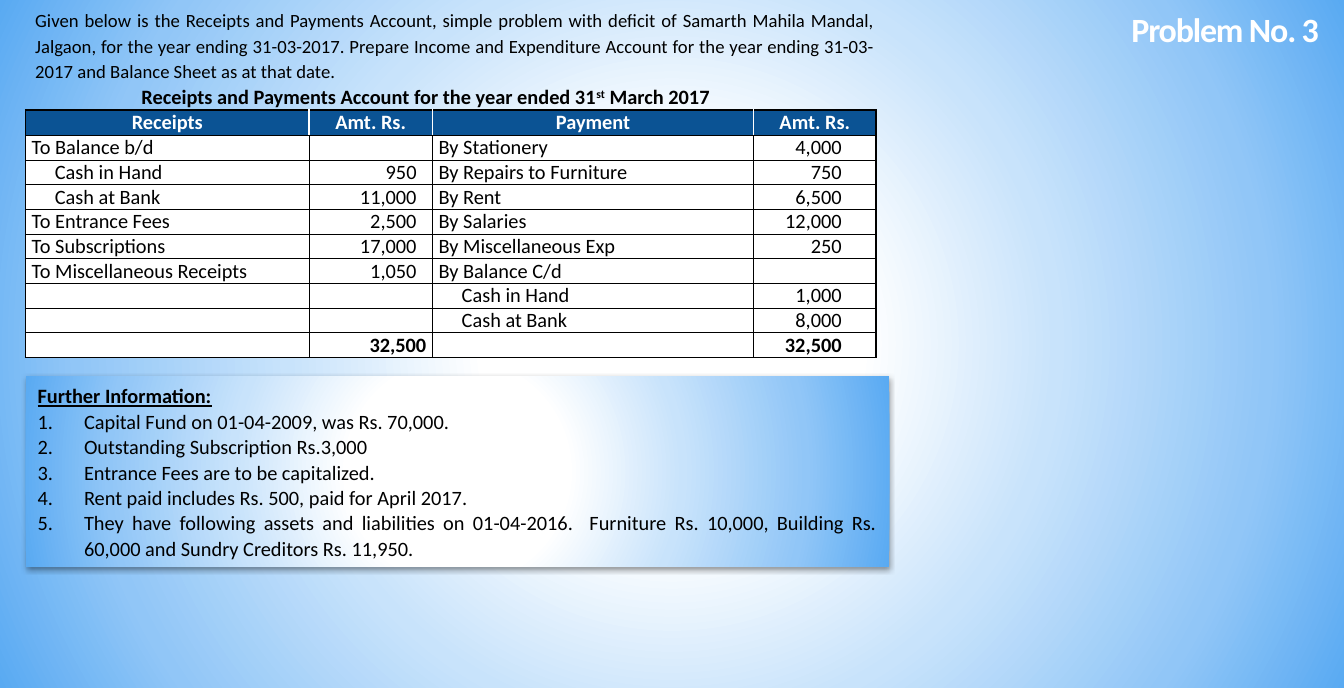
import pptx
import pptx.util
import pptx.dml.color
import pptx.enum.shapes
import pptx.enum.text
import pptx.oxml
import pptx.oxml.ns
from pptx.util import Inches, Pt

ALIGN = pptx.enum.text.PP_ALIGN
ANCHOR = pptx.enum.text.MSO_ANCHOR
FIT = pptx.enum.text.MSO_AUTO_SIZE


class Theme:
    font = "Calibri"
    black, white, navy = "000000", "FFFFFF", "0B5394"
    title, body, small = Pt(20), Pt(12), Pt(11)
    lead, row = Pt(15), Pt(14.5)
    stops = [(0, "FFFFFF"), (25, "FFFFFF"), (51, "C8E3FB"),
             (79, "91C6F7"), (100, "59AAF2")]


INTRO = ("Given below is the Receipts and Payments Account, simple problem with "
         "deficit of Samarth Mahila Mandal, Jalgaon, for the year ending 31-03-2017. "
         "Prepare Income and Expenditure Account for the year ending 31-03-2017 and "
         "Balance Sheet as at that date.")
HEADS = ["Receipts", "Amt. Rs.", "Payment", "Amt. Rs."]
ROWS = [
    ["To Balance b/d", "", "By Stationery", "4,000"],
    ["Cash in Hand", "950", "By Repairs to Furniture", "750"],
    ["Cash at Bank", "11,000", "By Rent", "6,500"],
    ["To Entrance Fees", "2,500", "By Salaries", "12,000"],
    ["To Subscriptions", "17,000", "By Miscellaneous Exp", "250"],
    ["To Miscellaneous Receipts", "1,050", "By Balance C/d", ""],
    ["", "", "Cash in Hand", "1,000"],
    ["", "", "Cash at Bank", "8,000"],
    ["", "32,500", "", "32,500"],
]
WIDTHS = [2.32, 1.01, 2.63, 1]
NOTES = [
    "Capital Fund on 01-04-2009, was Rs. 70,000.",
    "Outstanding Subscription Rs.3,000",
    "Entrance Fees are to be capitalized.",
    "Rent paid includes Rs. 500, paid for April 2017.",
    "They have following assets and liabilities on 01-04-2016.  Furniture "
    "Rs. 10,000, Building Rs. 60,000 and Sundry Creditors Rs. 11,950.",
]


def rgb(code):
    return pptx.dml.color.RGBColor.from_string(code)


def node(xml):
    """Parse one drawing element, with its namespace declared."""
    tag, rest = xml[1:].split(" ", 1)
    return pptx.oxml.parse_xml(f"<{tag} {pptx.oxml.ns.nsdecls('a')} {rest}")


def assign(item, values):
    for key, value in values.items():
        setattr(item, key, value)


def write(para, text, color=Theme.black, **form):
    run = para.add_run()
    run.text = text
    assign(run.font, {"name": Theme.font, "size": Theme.body, **form})
    run.font.color.rgb = rgb(color)
    return run


def glow(fill, root):
    """Give a fill the round gradient, light at the centre."""
    fill.gradient()
    old = next(root.iter(pptx.oxml.ns.qn("a:gradFill")))
    stops = "".join(f'<a:gs pos="{pos * 1000}"><a:srgbClr val="{code}"/></a:gs>'
                    for pos, code in Theme.stops)
    new = node(f'<a:gradFill rotWithShape="1"><a:gsLst>{stops}</a:gsLst>'
               '<a:path path="circle"><a:fillToRect l="50000" t="50000" '
               'r="50000" b="50000"/></a:path></a:gradFill>')
    old.getparent().replace(old, new)


def add_title(slide, text):
    title = slide.shapes.title
    assign(title, {"left": Inches(9.16), "top": Inches(0.02),
                   "width": Inches(1.84), "height": Inches(0.44)})
    assign(title.text_frame, {"vertical_anchor": ANCHOR.MIDDLE,
                              "auto_size": FIT.NONE, "word_wrap": True})
    para = title.text_frame.paragraphs[0]
    para.alignment = ALIGN.LEFT
    run = write(para, text, Theme.white, size=Theme.title, bold=True)
    run.font._element.set("spc", "-70")


def add_box(slide, left, top, width, height):
    box = slide.shapes.add_textbox(*map(Inches, (left, top, width, height)))
    box.text_frame.word_wrap = True
    return box.text_frame.paragraphs[0]


def add_intro(slide):
    para = add_box(slide, 0.19, 0, 7.07, 0.71)
    assign(para, {"alignment": ALIGN.JUSTIFY, "line_spacing": Theme.lead})
    write(para, INTRO, size=Theme.small)


def add_caption(slide):
    para = add_box(slide, 1.06, 0.64, 5, 0.3)
    write(para, "Receipts and Payments Account for the year ended 31", bold=True)
    mark = write(para, "st", bold=True)
    mark.font._element.set("baseline", "30000")
    write(para, " March 2017", bold=True)


def edge(cell, sides):
    """Draw cell borders; sides maps L, R, T, B to (colour, points)."""
    props = cell._tc.get_or_add_tcPr()
    for side, (code, size) in sides.items():
        props.append(node(f'<a:ln{side} w="{Pt(size)}"><a:solidFill>'
                          f'<a:srgbClr val="{code}"/></a:solidFill></a:ln{side}>'))


def set_cell(cell, text, fill, sides, form, left=0.06, right=0.06,
             align=ALIGN.LEFT, lead=Theme.row):
    edge(cell, sides)
    cell.fill.solid()
    cell.fill.fore_color.rgb = rgb(fill)
    assign(cell, {"margin_left": Inches(left), "margin_right": Inches(right),
                  "margin_top": 0, "margin_bottom": 0,
                  "vertical_anchor": ANCHOR.MIDDLE})
    para = cell.text_frame.paragraphs[0]
    assign(para, {"alignment": align, "line_spacing": lead})
    if text:
        write(para, text, **form)
    else:
        size = int(Theme.body.pt * 100)
        para._p.append(node(f'<a:endParaRPr sz="{size}"/>'))


def add_account(slide):
    count = len(ROWS) + 1
    frame = slide.shapes.add_table(count, len(WIDTHS), Inches(0.21), Inches(0.9),
                                   Inches(sum(WIDTHS)), Inches(0.2 * count))
    table = frame.table
    assign(table, {"first_row": False, "horz_banding": False})
    for col, width in zip(table.columns, WIDTHS):
        col.width = Inches(width)
    thin, rule, gap = (Theme.black, 0.75), (Theme.black, 1), (Theme.white, 1)
    last = len(HEADS) - 1
    for col, text in enumerate(HEADS):
        sides = {"L": gap if col else rule, "R": gap if col < last else rule,
                 "T": rule, "B": thin}
        set_cell(table.cell(0, col), text, Theme.navy, sides,
                 {"color": Theme.white, "bold": True},
                 align=ALIGN.CENTER, lead=Theme.lead)
    for row, texts in enumerate(ROWS, 1):
        total = row == len(ROWS)
        for col, text in enumerate(texts):
            if col % 2:
                right = 0.28 if col == last else 0.05 if total else 0.13
                place = {"align": ALIGN.RIGHT, "right": right}
            else:
                place = {"left": 0.24 if text.startswith("Cash") else 0.05}
            set_cell(table.cell(row, col), text, Theme.white,
                     dict.fromkeys("LRTB", thin), {"bold": total}, **place)


def add_notes(slide):
    panel = slide.shapes.add_shape(
        pptx.enum.shapes.MSO_SHAPE.RECTANGLE,
        *map(Inches, (0.21, 3.08, 7.07, 1.56)))
    glow(panel.fill, panel._element)
    panel.line.fill.background()
    panel._element.spPr.append(node(
        f'<a:effectLst ><a:outerShdw blurRad="{Pt(3.1)}" dist="{Pt(1.6)}" '
        'dir="5400000" rotWithShape="0"><a:srgbClr val="000000">'
        '<a:alpha val="38000"/></a:srgbClr></a:outerShdw></a:effectLst>'))
    frame = panel.text_frame
    assign(frame, {"word_wrap": True, "vertical_anchor": ANCHOR.TOP})
    form = {"alignment": ALIGN.JUSTIFY, "line_spacing": Theme.lead}
    head = frame.paragraphs[0]
    assign(head, form)
    write(head, "Further Information:", bold=True, underline=True)
    for text in NOTES:
        para = frame.add_paragraph()
        assign(para, form)
        props = para._p.get_or_add_pPr()
        props.set("marL", str(Inches(0.38)))
        props.set("indent", str(-Inches(0.38)))
        props.append(node('<a:buAutoNum type="arabicPeriod"/>'))
        write(para, text)


def main():
    deck = pptx.Presentation()
    assign(deck, {"slide_width": Inches(11), "slide_height": Inches(5.63)})
    slide = deck.slides.add_slide(deck.slide_layouts[5])
    glow(slide.background.fill, slide._element)
    add_intro(slide)
    add_title(slide, "Problem No. 3")
    add_account(slide)
    add_notes(slide)
    add_caption(slide)
    deck.save("out.pptx")


if __name__ == "__main__":
    main()
